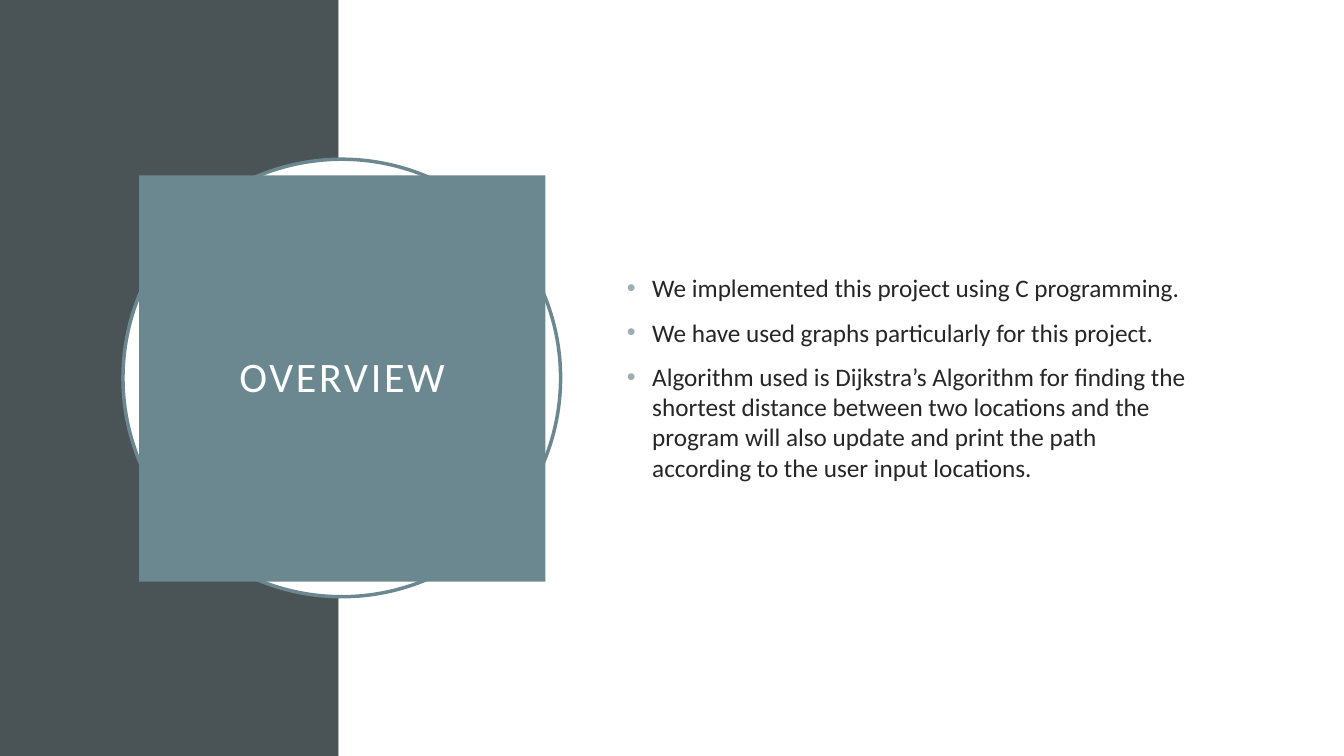
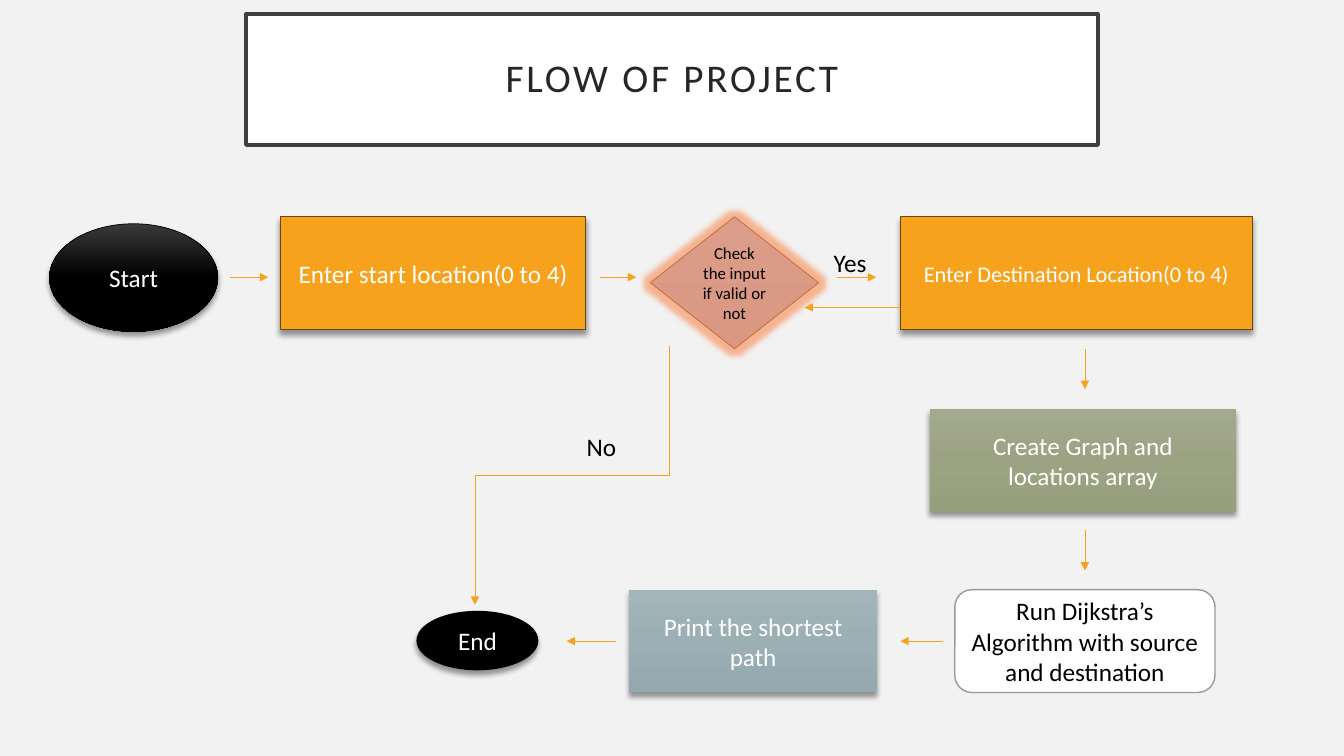
from dataclasses import dataclass
from typing import Optional, Union

from lxml.etree import SubElement
from pptx import Presentation
from pptx.dml.color import RGBColor
from pptx.enum.shapes import MSO_CONNECTOR as Connector, MSO_SHAPE as Preset
from pptx.enum.text import MSO_ANCHOR as Anchor, MSO_AUTO_SIZE as AutoSize, PP_ALIGN as Align
from pptx.oxml.ns import qn
from pptx.util import Inches, Pt

Stops = tuple[tuple[int, str], ...]
Fill = Union[str, Stops]
Box = tuple[float, float, float, float]
Point = tuple[float, float]


@dataclass(frozen=True)
class Theme:
    font: str = "Calibri"
    white: str = "FFFFFF"
    black: str = "000000"
    ink: str = "262626"
    page: str = "F2F2F2"
    band: str = "4A5356"
    teal: str = "6B8891"
    bullet: str = "9BAFB5"
    title_border: str = "404040"
    orange: str = "F6A21D"
    orange_border: str = "6C470D"
    rust: str = "C96731"
    glow: str = "F7A072"
    taupe: str = "A0988C"
    black_shade: Stops = ((0, "393939"), (50, "000000"), (100, "000000"))
    rose_shade: Stops = ((0, "DB9C89"), (100, "DA9882"))
    olive_shade: Stops = ((0, "A3A98C"), (50, "9CA383"), (100, "979E7C"))
    blue_shade: Stops = ((0, "A3B5BB"), (50, "9BAFB5"), (100, "93A9AF"))
    overview_size: float = 30
    title_size: float = 28
    text_size: float = 18
    small_size: float = 16
    decision_size: float = 12
    frame_width: float = 2.5
    thin_width: float = 0.5


THEME = Theme()
SLIDE_WIDTH, SLIDE_HEIGHT = 13.33, 7.5


@dataclass(frozen=True)
class Node:
    text: str
    box: Box
    preset: Preset
    fill: Fill
    border: Optional[str] = None
    border_width: float = THEME.thin_width
    color: str = THEME.white
    size: float = THEME.text_size
    shadow: bool = True
    glow: bool = False


@dataclass(frozen=True)
class Arrow:
    start: Point
    end: Point


@dataclass(frozen=True)
class Label:
    text: str
    box: Box


def color_of(value: str) -> RGBColor:
    return RGBColor.from_string(value)


def place(box: Box) -> list:
    return [Inches(value) for value in box]


def format_runs(paragraph, size: float, color: str, spacing: float = 0) -> None:
    for run in paragraph.runs:
        run.font.name = THEME.font
        run.font.size = Pt(size)
        run.font.color.rgb = color_of(color)
        if spacing:
            run.font._element.set("spc", str(int(spacing * 100)))


def add_color(parent, value: str, alpha: int = 100) -> None:
    color = SubElement(parent, qn("a:srgbClr"), val=value)
    if alpha < 100:
        SubElement(color, qn("a:alpha"), val=str(alpha * 1000))


def set_fill(shape, fill: Fill) -> None:
    if isinstance(fill, str):
        shape.fill.solid()
        shape.fill.fore_color.rgb = color_of(fill)
        return
    shape.fill.gradient()
    shape.fill.gradient_angle = 270
    stop_list = next(shape.element.iter(qn("a:gsLst")))
    stop_list.clear()
    for position, value in fill:
        add_color(SubElement(stop_list, qn("a:gs"), pos=str(position * 1000)), value)


def add_panel(slide, preset: Preset, box: Box, fill: Fill,
              border: Optional[str] = None, width: float = THEME.frame_width):
    shape = slide.shapes.add_shape(preset, *place(box))
    shape.shadow.inherit = False
    set_fill(shape, fill)
    if border:
        shape.line.color.rgb = color_of(border)
        shape.line.width = Pt(width)
    else:
        shape.line.fill.background()
    return shape


def write_centred(shape, text: str, size: float, color: str, spacing: float = 0):
    frame = shape.text_frame
    frame.word_wrap = True
    frame.vertical_anchor = Anchor.MIDDLE
    frame.text = text
    paragraph = frame.paragraphs[0]
    paragraph.alignment = Align.CENTER
    format_runs(paragraph, size, color, spacing)
    return paragraph


def add_title(slide, text: str, box: Box, fill: str, border: Optional[str],
              size: float, color: str) -> None:
    shape = add_panel(slide, Preset.RECTANGLE, box, fill, border)
    frame = shape.text_frame
    frame.margin_left = frame.margin_right = Inches(0.2)
    frame.margin_top = frame.margin_bottom = Inches(0.2)
    write_centred(shape, text, size, color, spacing=2).line_spacing = 0.9


def add_bullets(slide, texts: list[str], box: Box) -> None:
    frame = slide.shapes.add_textbox(*place(box)).text_frame
    frame.word_wrap = True
    frame.vertical_anchor = Anchor.MIDDLE
    frame.text = "\n".join(texts)
    for paragraph in frame.paragraphs:
        paragraph.space_before = Pt(10)
        format_runs(paragraph, THEME.text_size, THEME.ink)
        properties = paragraph._p.get_or_add_pPr()
        properties.set("marL", str(Inches(0.25)))
        properties.set("indent", str(-Inches(0.25)))
        add_color(SubElement(properties, qn("a:buClr")), THEME.bullet)
        SubElement(properties, qn("a:buFont"), typeface="Arial")
        SubElement(properties, qn("a:buChar"), char="•")


def add_node(slide, node: Node) -> None:
    shape = add_panel(slide, node.preset, node.box, node.fill, node.border, node.border_width)
    write_centred(shape, node.text, node.size, node.color)
    effects = next(shape.element.iter(qn("a:effectLst")))
    if node.glow:
        add_color(SubElement(effects, qn("a:glow"), rad=str(Pt(8))), THEME.glow, 75)
    if node.shadow:
        shadow = SubElement(effects, qn("a:outerShdw"), blurRad=str(Pt(4)), dist=str(Pt(3)),
                            dir="5400000", rotWithShape="0")
        add_color(shadow, THEME.black, 40)


def add_arrow(slide, arrow: Arrow, kind: Connector = Connector.STRAIGHT):
    connector = slide.shapes.add_connector(kind, *place(arrow.start + arrow.end))
    connector.line.color.rgb = color_of(THEME.orange)
    connector.line.width = Pt(THEME.thin_width)
    SubElement(connector.line._get_or_add_ln(), qn("a:tailEnd"), type="triangle")
    SubElement(connector.element.spPr, qn("a:effectLst"))
    return connector


def add_downward_elbow(slide, arrow: Arrow) -> None:
    (start_x, start_y), (end_x, end_y) = arrow.start, arrow.end
    center_x, center_y = (start_x + end_x) / 2, (start_y + end_y) / 2
    half_width, half_height = (end_y - start_y) / 2, (start_x - end_x) / 2
    turned = Arrow((center_x - half_width, center_y - half_height),
                   (center_x + half_width, center_y + half_height))
    connector = add_arrow(slide, turned, Connector.ELBOW)
    next(connector.element.iter(qn("a:xfrm"))).set("rot", "5400000")


def add_label(slide, label: Label) -> None:
    frame = slide.shapes.add_textbox(*place(label.box)).text_frame
    frame.word_wrap = True
    frame.auto_size = AutoSize.SHAPE_TO_FIT_TEXT
    frame.text = label.text
    format_runs(frame.paragraphs[0], THEME.text_size, THEME.black)


def add_slide(presentation, background: str):
    slide = presentation.slides.add_slide(presentation.slide_layouts[6])
    slide.background.fill.solid()
    slide.background.fill.fore_color.rgb = color_of(background)
    return slide


def build_overview(presentation) -> None:
    slide = add_slide(presentation, THEME.white)
    band_width = 3.36
    add_panel(slide, Preset.RECTANGLE, (0, 0, band_width, SLIDE_HEIGHT), THEME.band)
    add_panel(slide, Preset.RECTANGLE,
              (band_width, 0, SLIDE_WIDTH - band_width, SLIDE_HEIGHT), THEME.white)
    add_panel(slide, Preset.OVAL, (1.22, 1.58, 4.34, 4.34), THEME.white, THEME.teal)
    add_title(slide, "OVERVIEW", (1.38, 1.74, 4.03, 4.03), THEME.teal, None,
              THEME.overview_size, THEME.white)
    add_bullets(slide, [
        "We implemented this project using C programming.",
        "We have used graphs particularly for this project.",
        "Algorithm used is Dijkstra’s Algorithm for finding the shortest distance between "
        "two locations and the program will also update and print the path according to "
        "the user input locations.",
    ], (6.12, 1.53, 5.82, 4.43))


def build_flow(presentation) -> None:
    slide = add_slide(presentation, THEME.page)
    add_title(slide, "FLOW OF PROJECT", (2.44, 0.14, 8.45, 1.3), THEME.white,
              THEME.title_border, THEME.title_size, THEME.ink)
    input_top, input_height = 2.15, 1.12
    result_top, step_height = 5.85, 1.02
    nodes = [
        Node("Start", (0.49, 2.22, 1.67, 1.07), Preset.OVAL, THEME.black_shade, THEME.black),
        Node("Enter start location(0 to 4)", (2.78, input_top, 3.03, input_height),
             Preset.RECTANGLE, THEME.orange, THEME.orange_border, 1),
        Node("Check the input if valid or not", (6.45, input_top, 1.67, 1.31),
             Preset.FLOWCHART_DECISION, THEME.rose_shade, THEME.rust, color=THEME.black,
             size=THEME.decision_size, shadow=False, glow=True),
        Node("Enter Destination Location(0 to 4)", (8.93, input_top, 3.49, input_height),
             Preset.RECTANGLE, THEME.orange, THEME.orange_border, 1, size=THEME.small_size),
        Node("Create Graph and locations array", (9.22, 4.06, 3.04, step_height),
             Preset.FLOWCHART_PREDEFINED_PROCESS, THEME.olive_shade),
        Node("Run Dijkstra’s Algorithm with source and destination",
             (9.47, result_top, 2.58, step_height), Preset.ROUNDED_RECTANGLE, THEME.white,
             THEME.taupe, 1, color=THEME.black, shadow=False),
        Node("Print the shortest path", (6.24, result_top, 2.46, step_height),
             Preset.RECTANGLE, THEME.blue_shade),
        Node("End", (4.13, 6.06, 1.21, 0.59), Preset.OVAL, THEME.black),
    ]
    for node in nodes:
        add_node(slide, node)

    input_row, result_row, right_column = 2.75, result_top + step_height / 2, 10.76
    spans = [(2.28, 2.66, input_row), (5.95, 6.31, input_row), (8.3, 8.69, input_row),
             (8.93, 7.98, 3.05), (9.35, 8.93, result_row), (6.11, 5.62, result_row)]
    arrows = [Arrow((start, row), (end, row)) for start, end, row in spans]
    arrows += [Arrow((right_column, top), (right_column, top + 0.4)) for top in (3.46, 5.26)]
    for arrow in arrows:
        add_arrow(slide, arrow)
    add_downward_elbow(slide, Arrow((6.64, 3.43), (4.71, 6)))

    for label in (Label("Yes", (8.17, 2.4, 0.75, 0.4)), Label("No", (5.72, 4.23, 0.59, 0.4))):
        add_label(slide, label)


def main() -> None:
    presentation = Presentation()
    presentation.slide_width = Inches(SLIDE_WIDTH)
    presentation.slide_height = Inches(SLIDE_HEIGHT)
    build_overview(presentation)
    build_flow(presentation)
    presentation.save("out.pptx")


if __name__ == "__main__":
    main()
